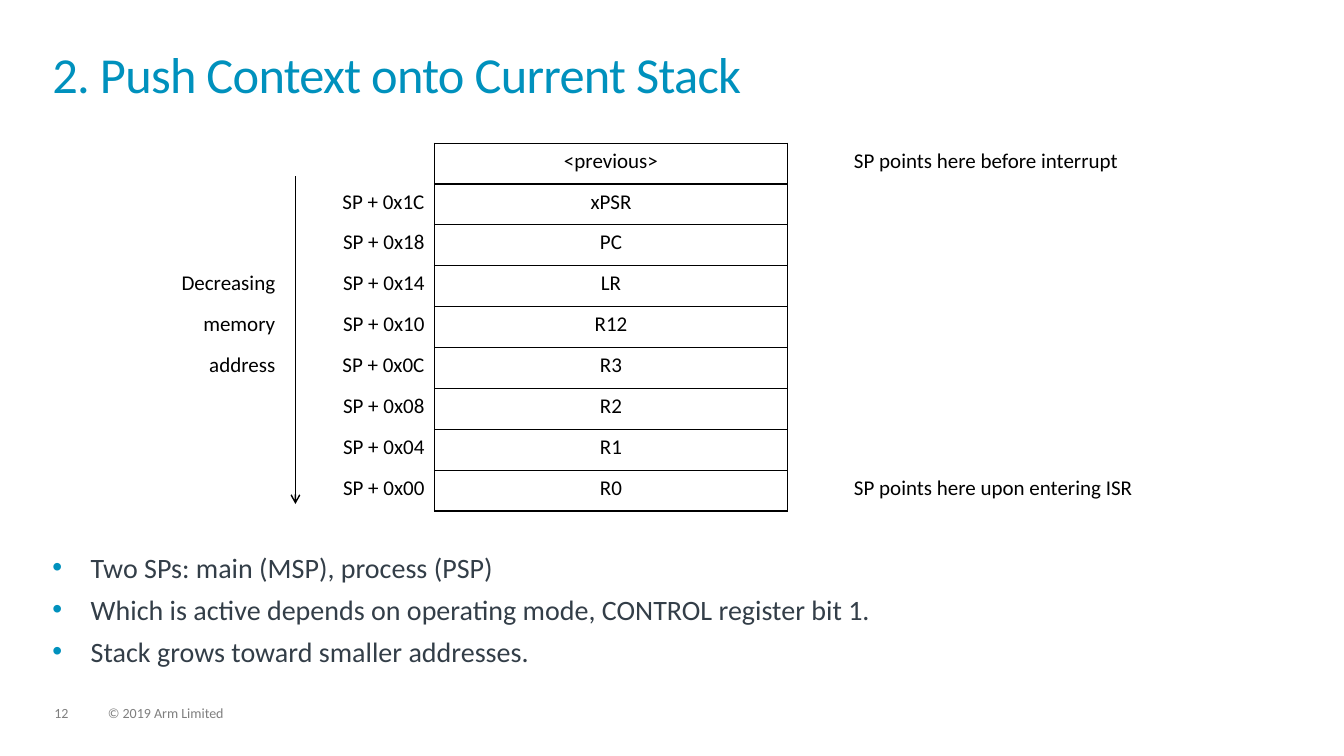
from lxml import etree
from pptx import Presentation
from pptx import util as u
from pptx.dml.color import RGBColor
from pptx.enum import shapes, text
from pptx.oxml.ns import qn

BLACK, BLUE, SLATE, GREY = "000000", "0091BD", "333E48", "7F7F7F"
LEFT, RIGHT, MID = text.PP_ALIGN.LEFT, text.PP_ALIGN.RIGHT, text.PP_ALIGN.CENTER
PLAIN = "{2D5ABB26-0587-4C30-8999-92F81FD0307C}"  # table style without fills or lines

NAMES = ["<previous>", "xPSR", "PC", "LR", "R12", "R3", "R2", "R1", "R0"]
ARROW = {3: "Decreasing", 4: "memory", 5: "address"}
NOTES = {0: "SP points here before interrupt", 8: "SP points here upon entering ISR"}
POINTS = [
    "Two SPs: main (MSP), process (PSP)",
    "Which is active depends on operating mode, CONTROL register bit 1.",
    "Stack grows toward smaller addresses.",
]


def color(code):
    return RGBColor.from_string(code)


def add(parent, tag, **attrs):
    return etree.SubElement(parent, qn(tag), **attrs)


class Page:
    font = "Calibri"

    def __init__(self, slide):
        self.slide = slide

    def style(self, para, size, ink):
        for run in para.runs:
            run.font.name = self.font
            run.font.size = u.Pt(size)
            run.font.color.rgb = color(ink)

    def label(self, lines, left, top, width, height, size, ink, pitch=1.0):
        """Add a text box without insets and return its paragraphs."""
        box = self.slide.shapes.add_textbox(*map(u.Inches, (left, top, width, height)))
        frame = box.text_frame
        frame.word_wrap = True
        frame.margin_left = frame.margin_right = frame.margin_top = frame.margin_bottom = 0
        frame.text = "\n".join(lines)
        for para in frame.paragraphs:
            para.line_spacing = pitch
            self.style(para, size, ink)
        return frame.paragraphs

    def title(self, line, *place):
        para = self.label([line], *place, 36, BLUE, 0.85)[0]
        para.runs[0].font._element.set("spc", "-50")

    def bullets(self, lines, *place):
        indent = u.Inches(0.38)
        for i, para in enumerate(self.label(lines, *place, 20, SLATE)):
            if i:
                para.space_before = u.Pt(6)
            props = para._p.get_or_add_pPr()
            props.set("marL", str(indent))
            props.set("indent", str(-indent))
            add(add(props, "a:buClr"), "a:srgbClr", val=BLUE)
            add(props, "a:buFont", typeface="Arial")
            add(props, "a:buChar", char="•")

    def cell(self, cell, words, align, sides=()):
        """Fill one table cell and draw the border sides given."""
        cell.text = words
        para = cell.text_frame.paragraphs[0]
        para.alignment = align
        self.style(para, 15, BLACK)
        props = cell._tc.get_or_add_tcPr()
        for side in sides:
            edge = add(props, f"a:ln{side}", w=str(u.Pt(1)))
            add(add(edge, "a:solidFill"), "a:srgbClr", val=BLACK)
        cell.fill.background()

    def stack(self, left, top, height, widths):
        """Draw the stack frame with addresses on its left and notes on its right."""
        count = len(NAMES)
        size = map(u.Inches, (left, top, sum(widths), height))
        table = self.slide.shapes.add_table(count, len(widths), *size).table
        table.first_row = table.horz_banding = False
        table._tbl.tblPr.find(qn("a:tableStyleId")).text = PLAIN
        for col, width in zip(table.columns, widths):
            col.width = u.Inches(width)
        for i, name in enumerate(NAMES):
            table.rows[i].height = u.Inches(height / count)
            side, place, slot, note = (table.cell(i, j) for j in range(4))
            offset = 4 * (count - 1 - i)
            self.cell(side, ARROW.get(i, ""), RIGHT)
            self.cell(place, f"SP + 0x{offset:02X}" if i else "", RIGHT, "R")
            self.cell(slot, name, MID, "LRTB")
            self.cell(note, NOTES.get(i, ""), LEFT, "L")
            side.margin_right = u.Inches(0.2)
            note.margin_left = u.Inches(0.66)

    def arrow(self, *ends):
        kind = shapes.MSO_CONNECTOR.STRAIGHT
        line = self.slide.shapes.add_connector(kind, *map(u.Inches, ends))
        line.line.color.rgb = color(BLACK)
        line.line.width = u.Pt(1)
        add(line.line._get_or_add_ln(), "a:tailEnd", type="arrow")
        add(line._element.spPr, "a:effectLst")


def main():
    deck = Presentation()
    deck.slide_width, deck.slide_height = u.Inches(13.33), u.Inches(7.5)
    page = Page(deck.slides.add_slide(deck.slide_layouts[6]))
    page.label(["12"], 0.54, 7.01, 0.34, 0.15, 10, GREY, 0.9)
    page.label(["© 2019 Arm Limited"], 1.07, 7.01, 5.07, 0.15, 10, GREY, 0.9)
    page.title("2. Push Context onto Current Stack", 0.52, 0.52, 12.28, 0.72)
    page.bullets(POINTS, 0.52, 5.46, 12.28, 1.45)
    page.stack(0.93, 1.42, 3.65, [2, 1.38, 3.5, 4.69])
    page.arrow(2.93, 1.75, 2.93, 5)
    deck.save("out.pptx")


if __name__ == "__main__":
    main()
